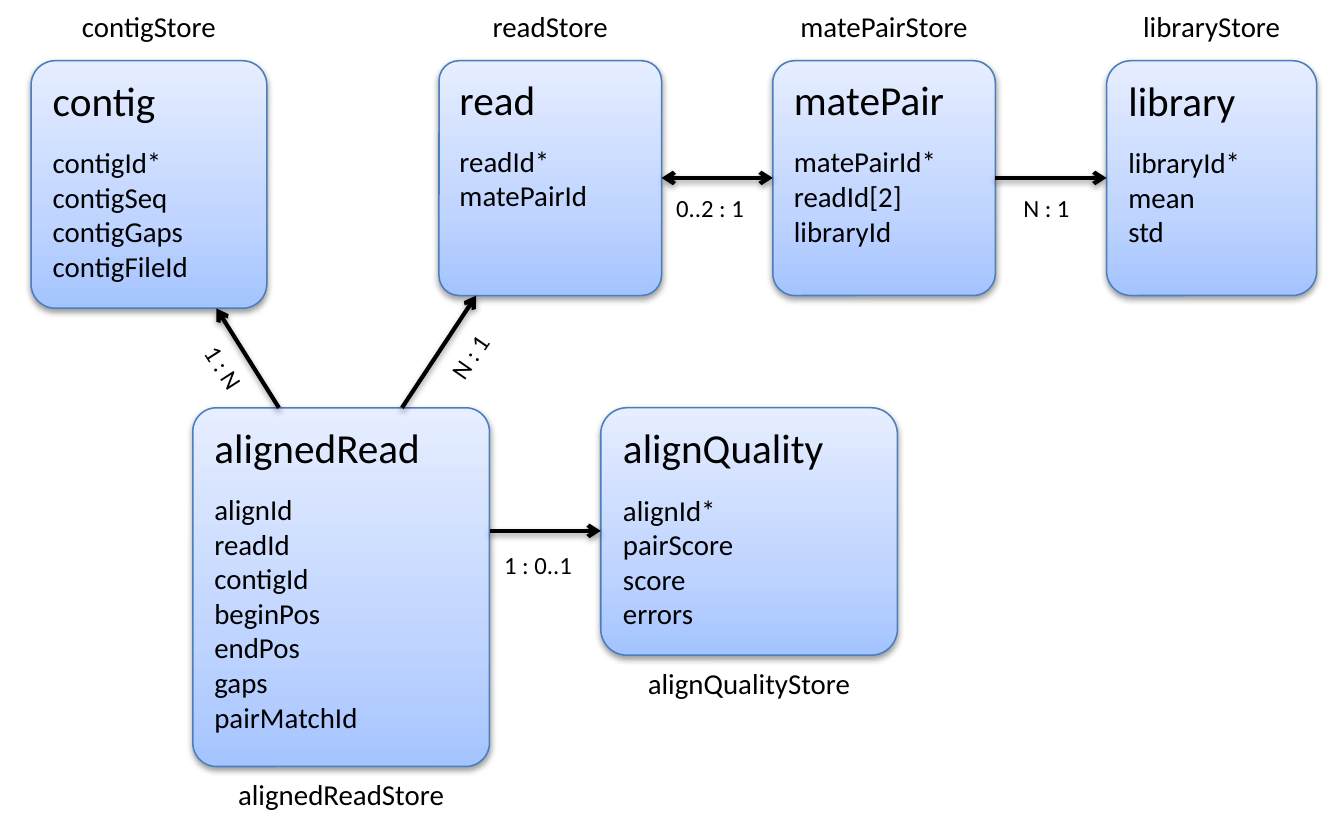
"""Build a diagram of the read, contig and alignment stores and their relations."""
from lxml import etree
from pptx import Presentation
from pptx.dml.color import RGBColor
from pptx.enum.shapes import MSO_CONNECTOR as LINE, MSO_SHAPE as SHAPE
from pptx.enum.text import MSO_ANCHOR as ANCHOR, MSO_AUTO_SIZE as FIT, PP_ALIGN as ALIGN
from pptx.oxml import parse_xml
from pptx.oxml.ns import nsdecls, qn
from pptx.util import Pt

NS = nsdecls("a")
GRADIENT = f"""<a:gradFill {NS} rotWithShape="1"><a:gsLst>
<a:gs pos="0"><a:srgbClr val="A4C4FF"/></a:gs>
<a:gs pos="35000"><a:srgbClr val="BFD4FF"/></a:gs>
<a:gs pos="100000"><a:srgbClr val="E6EEFF"/></a:gs>
</a:gsLst><a:lin ang="16200000" scaled="1"/></a:gradFill>"""
SHADOW = f"""<a:effectLst {NS}>
<a:outerShdw blurRad="{Pt(3.1)}" dist="{Pt(1.6)}" dir="5400000" rotWithShape="0">
<a:srgbClr val="000000"><a:alpha val="38000"/></a:srgbClr></a:outerShdw></a:effectLst>"""


def outline(sp, color, width):
    sp.line.color.rgb = RGBColor.from_string(color)
    sp.line.width = Pt(width)
    sp._element.spPr.append(parse_xml(SHADOW))


def write(p, text, size, **formats):
    r = p.add_run()
    r.text = text
    r.font.name, r.font.size = "Calibri", Pt(size)
    r.font.color.rgb = RGBColor.from_string("000000")
    for name, value in formats.items():
        setattr(p, name, value)


prs = Presentation()
prs.slide_width, prs.slide_height = Pt(652.3), Pt(396.7)
shapes = prs.slides.add_slide(prs.slide_layouts[6]).shapes

TOP, LOWER, GAP = 29.5, 198, 54
READ, ALIGNED = 213.1, 93.6
MATE = READ + 108 + GAP
LIBRARY = MATE + 108 + GAP
QUALITY = ALIGNED + 144 + GAP

tables = [
    ("read", READ, TOP, 108, 114, 0.09, "readId* matePairId"),
    ("matePair", MATE, TOP, 108, 114, 0.099, "matePairId* readId[2] libraryId"),
    ("library", LIBRARY, TOP, 102, 114, 0.116, "libraryId* mean std"),
    ("contig", 15.1, TOP, 114.4, 120.2, 0.103,
     "contigId* contigSeq contigGaps contigFileId"),
    ("alignedRead", ALIGNED, LOWER, 144, 174.2, 0.08,
     "alignId readId contigId beginPos endPos gaps pairMatchId"),
    ("alignQuality", QUALITY, LOWER, 144, 120.2, 0.106,
     "alignId* pairScore score errors"),
]
for title, x, y, w, h, corner, fields in tables:
    sp = shapes.add_shape(SHAPE.ROUNDED_RECTANGLE, Pt(x), Pt(y), Pt(w), Pt(h))
    sp.adjustments[0] = corner
    sp._element.spPr.append(parse_xml(GRADIENT))
    outline(sp, "4B7EBC", 0.75)
    tf = sp.text_frame
    tf.word_wrap, tf.vertical_anchor = True, ANCHOR.TOP
    write(tf.paragraphs[0], title, 20, alignment=ALIGN.LEFT)
    for i, field in enumerate(fields.split()):
        write(tf.add_paragraph(), field, 14, alignment=ALIGN.LEFT,
              space_before=Pt(0 if i else 9.8))

    store_y = TOP - 28.8 if y == TOP else y + h + 1.4
    tf = shapes.add_textbox(Pt(x), Pt(store_y), Pt(w), Pt(24.5)).text_frame
    tf.word_wrap, tf.auto_size = True, FIT.SHAPE_TO_FIT_TEXT
    write(tf.paragraphs[0], title + "Store", 14, alignment=ALIGN.CENTER)

relations = [
    (MATE - GAP, 86.4, MATE, 86.4, ["headEnd", "tailEnd"], "0..2 : 1", 321.1, 90, 47.5, 0),
    (LIBRARY - GAP, 86.4, LIBRARY, 86.4, ["tailEnd"], "N : 1", 489.6, 90, 37.4, 0),
    (135.4, LOWER, 105.1, 149.8, ["tailEnd"], "1 : N", 90, 167.8, 37.4, 57.2),
    (195.1, LOWER, 231.1, 143.6, ["tailEnd"], "N : 1", 209.5, 162, 37.4, 304.9),
    (QUALITY - GAP, 257.8, QUALITY, 257.8, ["tailEnd"], "1 : 0..1", 237.6, 263.5, 47.5, 0),
]
for x1, y1, x2, y2, ends, label, x, y, w, angle in relations:
    arrow = shapes.add_connector(LINE.STRAIGHT, Pt(x1), Pt(y1), Pt(x2), Pt(y2))
    outline(arrow, "000000", 2)
    for end in ends:
        etree.SubElement(arrow.line._get_or_add_ln(), qn("a:" + end), type="arrow")
    sp = shapes.add_textbox(Pt(x), Pt(y), Pt(w), Pt(21.8))
    sp.rotation = angle
    tf = sp.text_frame
    tf.word_wrap, tf.auto_size = False, FIT.SHAPE_TO_FIT_TEXT
    write(tf.paragraphs[0], label, 12)

prs.save("out.pptx")
